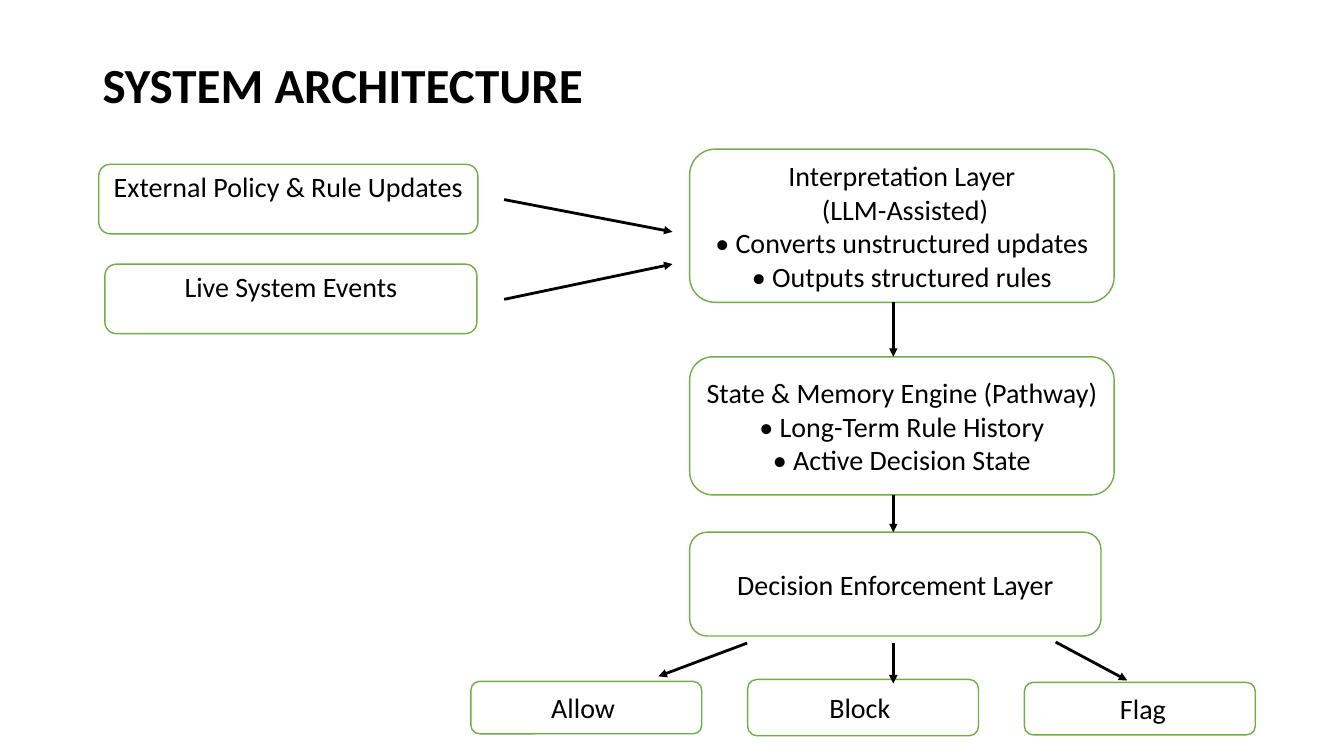
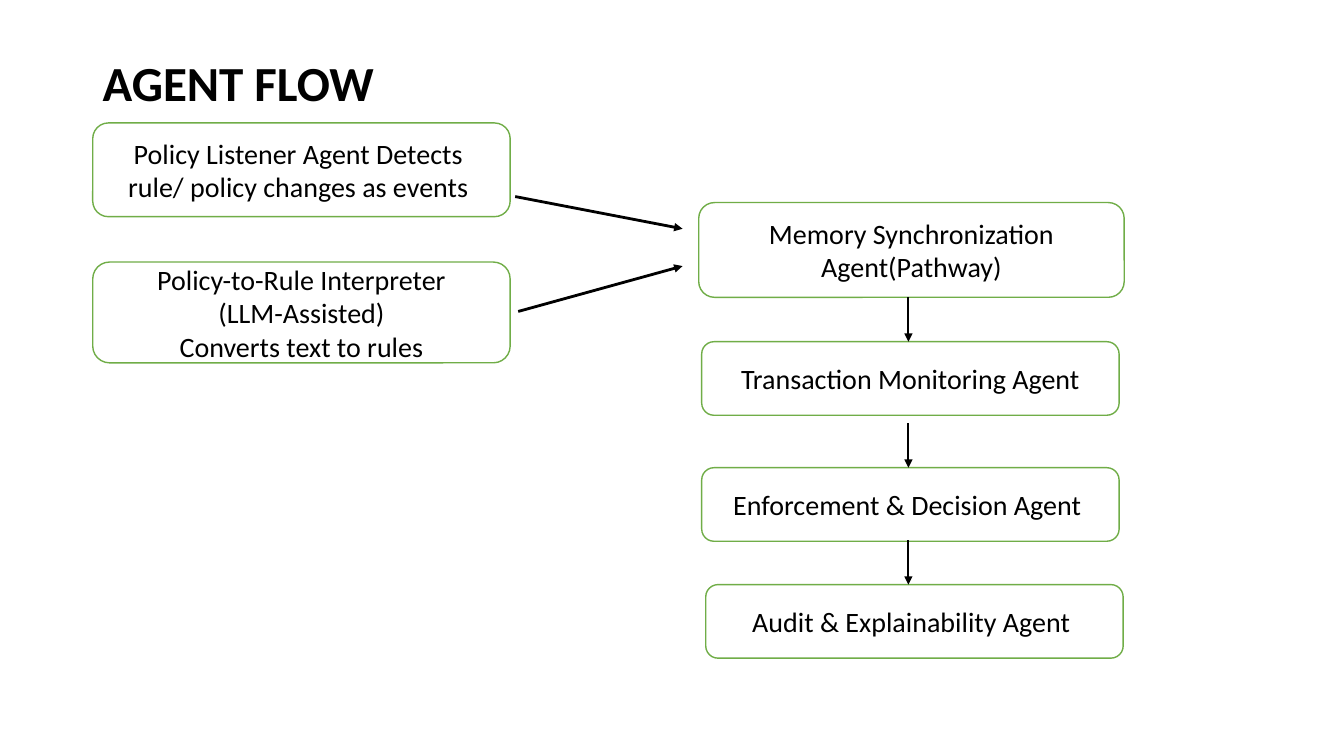
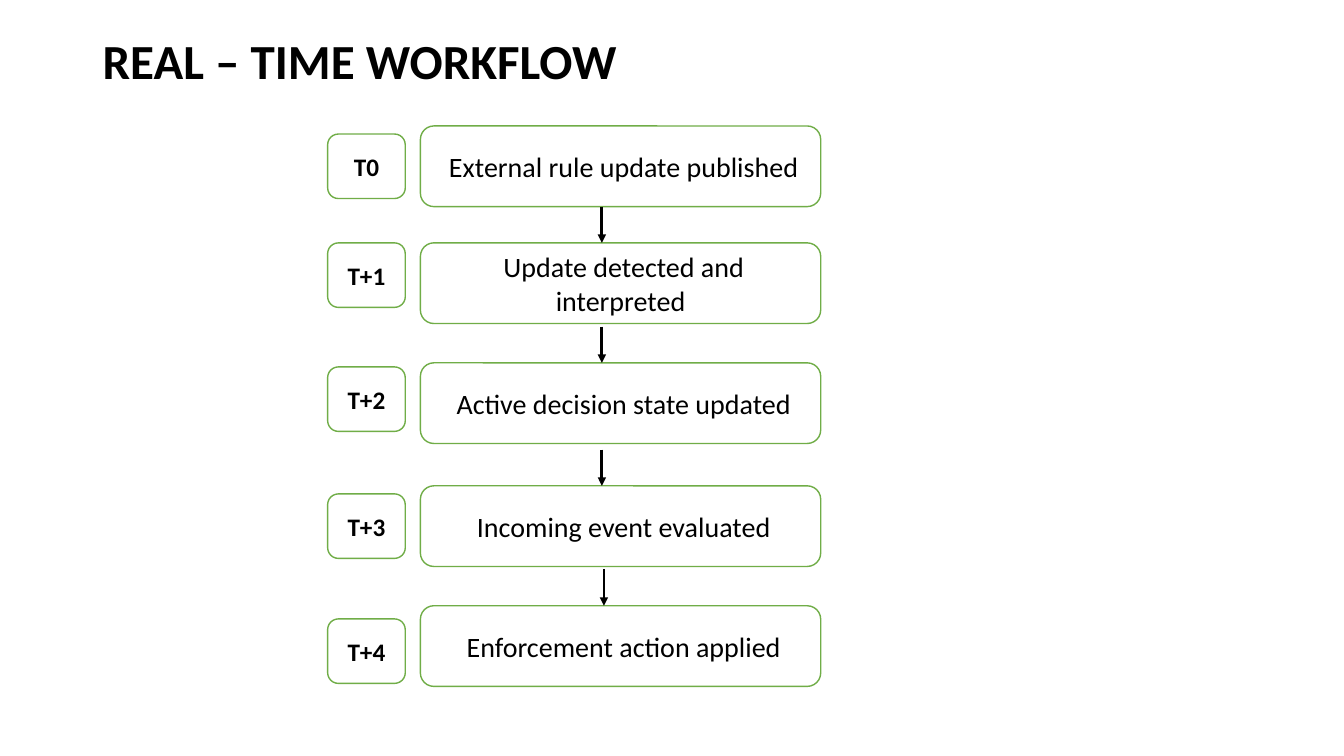
from dataclasses import dataclass
from typing import NamedTuple

from lxml.etree import SubElement
from pptx import Presentation
from pptx.dml.color import RGBColor
from pptx.enum.shapes import MSO_CONNECTOR, MSO_SHAPE
from pptx.enum.text import MSO_ANCHOR, PP_ALIGN
from pptx.oxml.ns import qn
from pptx.slide import Slide
from pptx.text.text import TextFrame
from pptx.util import Inches, Pt


@dataclass(frozen=True)
class Theme:
    font: str = "Calibri"
    ink: RGBColor = RGBColor(0x00, 0x00, 0x00)
    paper: RGBColor = RGBColor(0xFF, 0xFF, 0xFF)
    border: RGBColor = RGBColor(0x70, 0xAD, 0x47)
    title_size: float = 35
    body_size: float = 20
    time_size: float = 18
    border_width: float = 1
    arrow_width: float = 2
    thin_arrow_width: float = 1.5
    title_left: float = 0.92


THEME = Theme()


class Box(NamedTuple):
    left: float
    top: float
    width: float
    height: float
    text: str
    size: float = THEME.body_size
    bold: bool = False
    at_top: bool = False


class Arrow(NamedTuple):
    x1: float
    y1: float
    x2: float
    y2: float
    width: float = THEME.arrow_width


class Title(NamedTuple):
    text: str
    top: float
    width: float
    height: float


class Diagram(NamedTuple):
    title: Title
    boxes: list[Box]
    arrows: list[Arrow]


def style_text(frame: TextFrame, size: float, bold: bool, align: PP_ALIGN) -> None:
    for paragraph in frame.paragraphs:
        paragraph.alignment = align
        for run in paragraph.runs:
            run.font.name = THEME.font
            run.font.size = Pt(size)
            run.font.bold = bold
            run.font.color.rgb = THEME.ink


def draw_title(slide: Slide, title: Title) -> None:
    heading = slide.shapes.add_textbox(
        Inches(THEME.title_left), Inches(title.top), Inches(title.width), Inches(title.height)
    )
    frame = heading.text_frame
    frame.word_wrap = True
    frame.vertical_anchor = MSO_ANCHOR.MIDDLE
    frame.text = title.text
    frame.paragraphs[0].line_spacing = 0.9
    style_text(frame, THEME.title_size, True, PP_ALIGN.LEFT)


def draw_box(slide: Slide, box: Box) -> None:
    step = slide.shapes.add_shape(
        MSO_SHAPE.ROUNDED_RECTANGLE,
        Inches(box.left), Inches(box.top), Inches(box.width), Inches(box.height),
    )
    step.shadow.inherit = False
    step.fill.solid()
    step.fill.fore_color.rgb = THEME.paper
    step.line.color.rgb = THEME.border
    step.line.width = Pt(THEME.border_width)
    frame = step.text_frame
    frame.word_wrap = True
    frame.vertical_anchor = MSO_ANCHOR.MIDDLE
    if box.at_top:
        frame.vertical_anchor = MSO_ANCHOR.TOP
        frame.margin_top = Inches(0.02)
    frame.text = box.text
    style_text(frame, box.size, box.bold, PP_ALIGN.CENTER)


def draw_arrow(slide: Slide, arrow: Arrow) -> None:
    link = slide.shapes.add_connector(
        MSO_CONNECTOR.STRAIGHT,
        Inches(arrow.x1), Inches(arrow.y1), Inches(arrow.x2), Inches(arrow.y2),
    )
    link.line.color.rgb = THEME.ink
    link.line.width = Pt(arrow.width)
    SubElement(link.line._get_or_add_ln(), qn("a:tailEnd"), type="triangle")
    SubElement(link._element.spPr, qn("a:effectLst"))


def down_arrow(x: float, end: float, length: float, width: float = THEME.arrow_width) -> Arrow:
    return Arrow(x, end - length, x, end, width)


def architecture() -> Diagram:
    layer_left, layer_width, spine = 6.84, 4.21, 8.86
    outcomes = [("Allow ", 6.76, 0.52), ("Block ", 6.74, 0.56), (" Flag", 6.77, 0.52)]
    boxes = [
        Box(0.98, 1.63, 3.76, 0.69, "External Policy & Rule Updates", at_top=True),
        Box(1.04, 2.62, 3.69, 0.69, "Live System Events", at_top=True),
        Box(layer_left, 1.48, layer_width, 1.52,
            "Interpretation Layer\n (LLM-Assisted)\n"
            "• Converts unstructured updates\n• Outputs structured rules"),
        Box(layer_left, 3.54, layer_width, 1.37,
            "State & Memory Engine (Pathway)\n• Long-Term Rule History\n• Active Decision State"),
        Box(layer_left, 5.28, 4.08, 1.03, "Decision Enforcement Layer"),
    ]
    boxes += [
        Box(4.67 + 2.745 * column, top, 2.29, height, outcome)
        for column, (outcome, top, height) in enumerate(outcomes)
    ]
    arrows = [
        Arrow(5, 1.98, 6.67, 2.3),
        Arrow(5, 2.97, 6.67, 2.62),
        down_arrow(spine, 3.54, 0.54),
        down_arrow(spine, 5.28, 0.37),
        Arrow(7.41, 6.38, 6.53, 6.71),
        down_arrow(spine, 6.78, 0.4),
        Arrow(10.47, 6.37, 11.18, 6.75),
    ]
    return Diagram(Title("SYSTEM ARCHITECTURE", 0.18, 7.11, 1.38), boxes, arrows)


def agent_flow() -> Diagram:
    agent_width = 4.14
    chain = [
        (6.96, 3.39, "Transaction Monitoring Agent"),
        (6.96, 4.64, "Enforcement & Decision Agent "),
        (7, 5.8, "Audit & Explainability Agent "),
    ]
    boxes = [
        Box(0.92, 1.22, agent_width, 0.93,
            "Policy Listener Agent Detects \nrule/ policy changes as events "),
        Box(0.92, 2.6, agent_width, 1,
            "Policy-to-Rule Interpreter\n(LLM-Assisted)\nConverts text to rules"),
        Box(6.93, 2.01, 4.22, 0.94, "Memory Synchronization Agent(Pathway)"),
    ]
    boxes += [Box(left, top, agent_width, 0.73, agent) for left, top, agent in chain]
    arrows = [Arrow(5.11, 1.95, 6.77, 2.27), Arrow(5.14, 3.09, 6.77, 2.64)]
    arrows += [down_arrow(9.01, top, 0.44, THEME.thin_arrow_width) for _, top, _ in chain]
    return Diagram(Title("AGENT FLOW", 0.12, 11.5, 1.45), boxes, arrows)


def workflow() -> Diagram:
    stages = [
        ("T0", 1.33, 1.25, " External rule update published"),
        ("T+1", 2.41, 2.41, " Update detected and interpreted"),
        ("T+2", 3.64, 3.6, " Active decision state updated"),
        ("T+3", 4.9, 4.82, " Incoming event evaluated"),
        ("T+4", 6.14, 6.01, " Enforcement action applied"),
    ]
    boxes = []
    for time, time_top, stage_top, stage in stages:
        boxes.append(Box(3.25, time_top, 0.77, 0.64, time, THEME.time_size, True))
        boxes.append(Box(4.17, stage_top, 3.97, 0.8, stage))
    arrow_columns = [5.97, 5.97, 5.97, 5.99]
    arrows = [
        down_arrow(x, stage_top, 0.36)
        for x, (_, _, stage_top, _) in zip(arrow_columns, stages[1:])
    ]
    return Diagram(Title("REAL – TIME WORKFLOW", 0.13, 6.89, 1), boxes, arrows)


def main() -> None:
    deck = Presentation()
    deck.slide_width = Inches(13.33)
    deck.slide_height = Inches(7.5)
    for diagram in (architecture(), agent_flow(), workflow()):
        slide = deck.slides.add_slide(deck.slide_layouts[6])
        draw_title(slide, diagram.title)
        for box in diagram.boxes:
            draw_box(slide, box)
        for arrow in diagram.arrows:
            draw_arrow(slide, arrow)
    deck.save("out.pptx")


if __name__ == "__main__":
    main()
